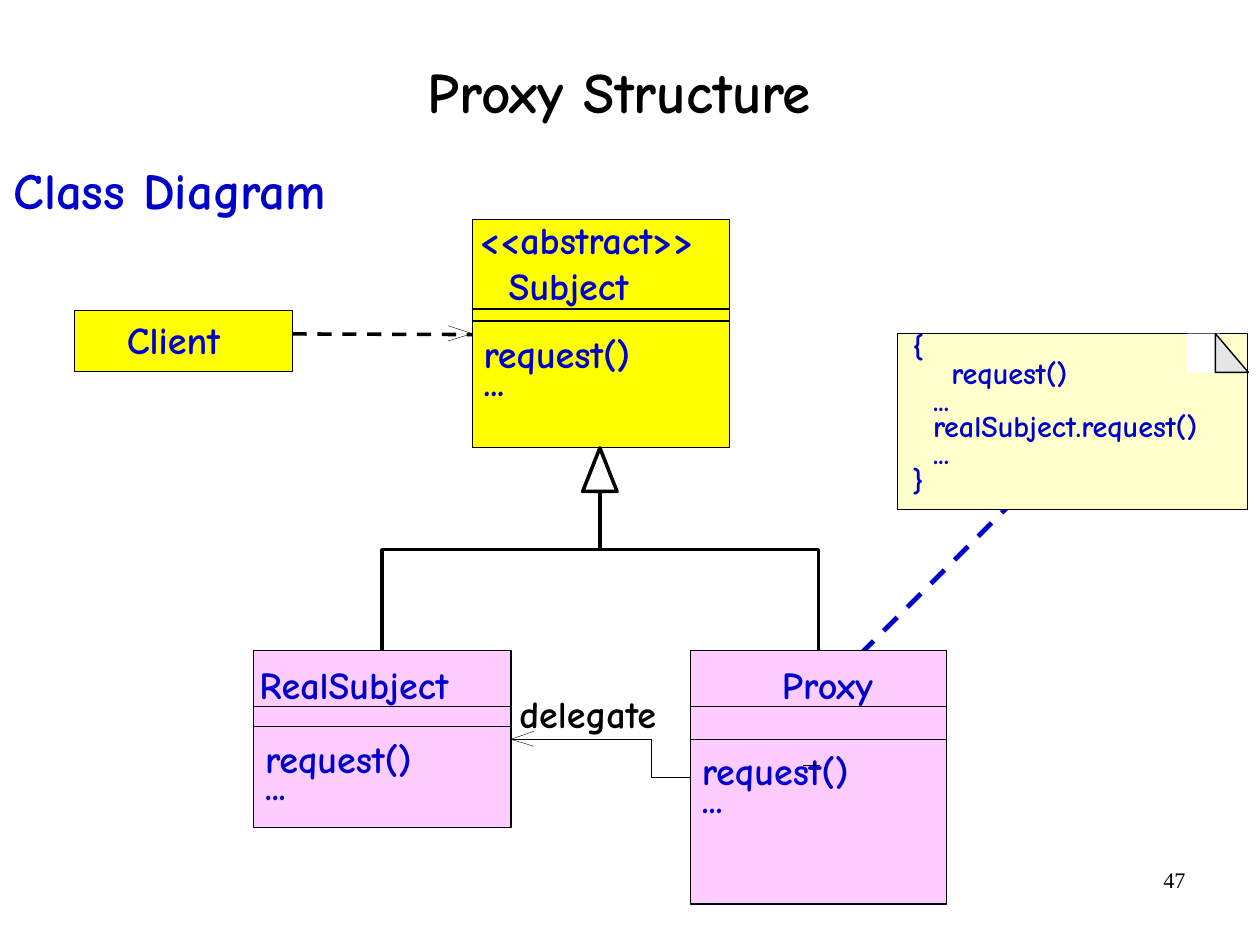
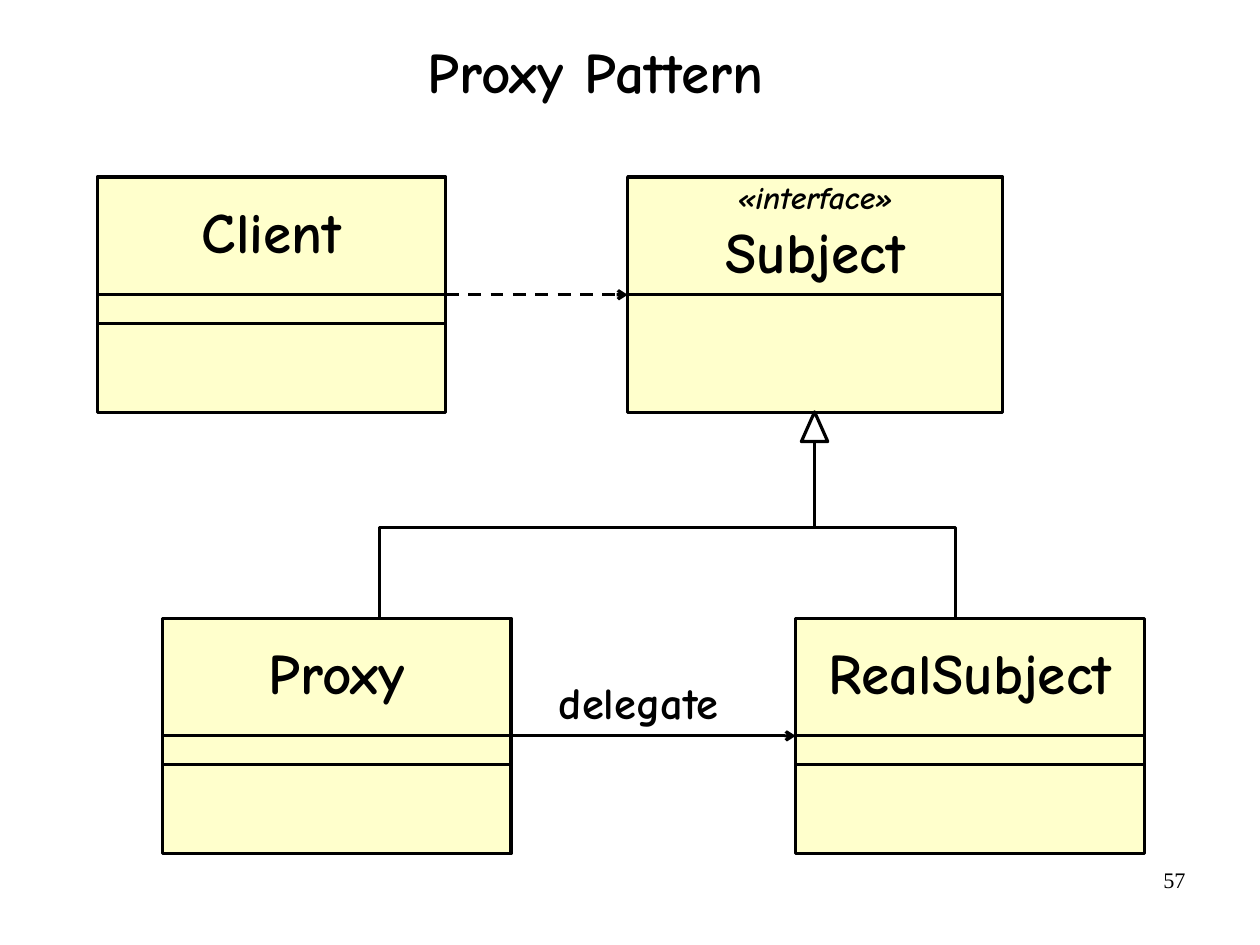
from pptx import Presentation
from pptx.util import Pt
from pptx.dml.color import RGBColor
from pptx.enum.dml import MSO_LINE as Dash
from pptx.enum.shapes import MSO_SHAPE as Kind, MSO_CONNECTOR as Wire
from pptx.enum.text import PP_ALIGN as Align, MSO_ANCHOR as Anchor
from pptx.oxml.ns import qn
from lxml.etree import SubElement as Sub

BLACK, BLUE, WHITE, GREY = "000000", "0000CC", "FFFFFF", "E6E6E6"
CREAM, YELLOW, PINK = "FFFFCC", "FFFF00", "FFCCFF"
FACE, SERIF = "Comic Neue", "Times New Roman"
THIN, HAIR = 0.88, 0.25
CALLS = [("request()", 0), ("...", 0)]

PAGES = [
    {"title": "Proxy Structure", "mid": 390, "top": 41.4, "num": "47"},
    {"title": "Proxy Pattern", "mid": 375, "top": 28.8, "num": "57"},
]
CLASSES = [
    {"box": (46.8, 195.6, 137.4, 38.4), "fill": YELLOW, "rules": [],
     "texts": [([("Client", 0)], 79.9, 199.4, None)]},
    {"box": (297.4, 138.2, 162, 144), "fill": YELLOW, "rules": [194.6, 202.2],
     "texts": [([("<<abstract>>", 0), ("Subject", 18.7)], 301.7, 136.3, 28.8),
               (CALLS, 304.6, 219.8, 17.3)]},
    {"box": (159.8, 409.7, 162, 111.8), "fill": PINK, "rules": [445.3, 457.6],
     "texts": [([("RealSubject", 0)], 163.4, 416.9, None),
               (CALLS, 167, 474.8, 17.3)]},
    {"box": (434.7, 409.7, 161.5, 159.8), "fill": PINK, "rules": [445.3, 465.8],
     "texts": [([("Proxy", 0)], 492.5, 416.9, None),
               (CALLS, 442.1, 482.6, 17.3)]},
]
NOTE = [("{", 0), ("request()", 24.6), ("...", 13),
        ("realSubject.request()", 13), ("...", 13), ("}", 0)]
CARDS = {
    "Client": (61.2, 111.6, 219.6),
    "Subject": (395.3, 111.6, 236.2),
    "Proxy": (102.2, 389.5, 219.6),
    "RealSubject": (501.1, 389.5, 219.6),
}
HIGH, GAP = 148.3, 18


def hue(code):
    return RGBColor.from_string(code)


def put(item, vals):
    for key, val in vals.items():
        setattr(item, key, val)


def ink(shape, fill=None, line=BLACK, wide=THIN):
    shape.shadow.inherit = False
    if fill:
        shape.fill.solid()
        shape.fill.fore_color.rgb = hue(fill)
    else:
        shape.fill.background()
    if line:
        shape.line.color.rgb = hue(line)
        shape.line.width = Pt(wide)
    else:
        shape.line.fill.background()
    return shape


def block(slide, box, fill, line=BLACK, wide=THIN, kind=Kind.RECTANGLE):
    return ink(slide.shapes.add_shape(kind, *map(Pt, box)), fill, line, wide)


def trace(slide, dots, wide, fill=None, close=False):
    dots = [(Pt(x), Pt(y)) for x, y in dots]
    pen = slide.shapes.build_freeform(*dots[0])
    pen.add_line_segments(dots[1:], close=close)
    return ink(pen.convert_to_shape(), fill, BLACK, wide)


def wire(slide, ends, wide, code=BLACK, dash=False, tip=False):
    link = slide.shapes.add_connector(Wire.STRAIGHT, *map(Pt, ends))
    put(link.line, {"width": Pt(wide)})
    link.line.color.rgb = hue(code)
    if dash:
        link.line.dash_style = Dash.DASH
    if tip:
        Sub(link.line._get_or_add_ln(), qn("a:tailEnd"), type="arrow")
    Sub(link._element.spPr, qn("a:effectLst"))
    return link


def join(slide, one, two, start, end, **look):
    link = wire(slide, (0, 0, 0, 0), 2, **look)
    link.begin_connect(one, start)
    link.end_connect(two, end)


def write(frame, lines, size, code, align=Align.LEFT, pitch=None,
          top=0, face=FACE, bold=True):
    put(frame, {"word_wrap": True, "vertical_anchor": Anchor.TOP,
                "margin_left": 0, "margin_right": 0,
                "margin_top": Pt(top), "margin_bottom": 0})
    for i, (words, inset) in enumerate(lines):
        para = frame.add_paragraph() if i else frame.paragraphs[0]
        put(para, {"alignment": align, "line_spacing": pitch})
        if inset:
            para._p.get_or_add_pPr().set("marL", str(Pt(inset)))
        run = para.add_run()
        run.text = words
        put(run.font, {"name": face, "size": Pt(size), "bold": bold})
        run.font.color.rgb = hue(code)


def label(slide, lines, box, size, code, **look):
    area = slide.shapes.add_textbox(*map(Pt, box))
    write(area.text_frame, lines, size, code, **look)


def start(deck, page):
    slide = deck.slides.add_slide(deck.slide_layouts[6])
    label(slide, [(page["num"], 0)], (600, 545.8, 146.6, 20), 14, BLACK,
          align=Align.RIGHT, face=SERIF, bold=False)
    label(slide, [(page["title"], 0)], (page["mid"] - 330, page["top"], 660, 42),
          36, BLACK, align=Align.CENTER, pitch=0.88)
    return slide


def tree(slide, tip, size, bus, legs, foot, wide):
    x, y = tip
    w, h = size
    left, right = legs
    trace(slide, [(left, foot), (left, bus), (right, bus), (right, foot)], wide)
    wire(slide, (x, y + h, x, bus), wide)
    block(slide, (x - w / 2, y, w, h), WHITE, wide=wide,
          kind=Kind.ISOSCELES_TRIANGLE)


def structure(slide):
    wire(slide, (467.3, 486.7, 657.4, 296.6), 3, BLUE, dash=True)
    block(slide, (565.2, 210.2, 220.3, 110.9), CREAM)
    label(slide, NOTE, (574.6, 212.4, 210, 110), 19, BLUE, pitch=Pt(16.8))
    block(slide, (747.4, 210.2, 20.9, 24.5), WHITE, line=None)
    trace(slide, [(765.4, 210.2), (786.2, 234.7), (765.4, 234.7)],
          THIN, GREY, True)
    label(slide, [("Class Diagram", 0)], (8.6, 100, 260, 40), 32, BLUE)
    for item in CLASSES:
        x, y, w, h = item["box"]
        block(slide, item["box"], item["fill"])
        for rule in item["rules"]:
            wire(slide, (x, rule, x + w, rule), THIN)
        for lines, left, top, pitch in item["texts"]:
            label(slide, lines, (left, top, 180, 30), 24, BLUE,
                  pitch=pitch and Pt(pitch))
    wire(slide, (516.2, 482.4, 505.4, 482.4), THIN)
    wire(slide, (184.2, 210.4, 297.4, 210.8), 2.25, dash=True)
    trace(slide, [(282.2, 214.8), (297.4, 210.2), (282.2, 205.2)], HAIR)
    tree(slide, (377.8, 282.2), (21.6, 27.4), 346.3, (240.5, 515.5), 409.7, 2.25)
    trace(slide, [(434.7, 489.6), (410.4, 489.6), (410.4, 465.8),
                  (321.8, 465.8)], HAIR)
    trace(slide, [(336.2, 460.8), (321.8, 465.8), (336.2, 470.2)], HAIR)
    label(slide, [("delegate", 0)], (327, 435, 110, 30), 24, BLACK)


def pattern(slide):
    cards = {}
    for name, (x, y, w) in CARDS.items():
        card = block(slide, (x, y, w, HIGH), CREAM, wide=2)
        cards[name] = card
        base = name == "Subject"
        lines = [("«interface»", 0)] * base + [(name, 0)]
        write(card.text_frame, lines, 36, BLACK, align=Align.CENTER,
              top=0.6 if base else 12)
        join(slide, card, card, 1, 3)
        if base:
            mark = card.text_frame.paragraphs[0].runs[0].font
            put(mark, {"size": Pt(20), "italic": True})
        else:
            rule = y + HIGH / 2 + GAP
            wire(slide, (x, rule, x + w, rule), 2)
    join(slide, cards["Client"], cards["Subject"], 3, 1, dash=True, tip=True)
    join(slide, cards["Proxy"], cards["RealSubject"], 3, 1, tip=True)
    label(slide, [("delegate", 0)], (352, 425.5, 130, 36), 28, BLACK)
    tree(slide, (513, 259.5), (16.6, 18.7), 332.6, (239, 602), 389.5, 2)


def main():
    deck = Presentation()
    put(deck, {"slide_width": Pt(793.5), "slide_height": Pt(595.4)})
    for page, draw in zip(PAGES, (structure, pattern)):
        draw(start(deck, page))
    deck.save("out.pptx")


if __name__ == "__main__":
    main()
